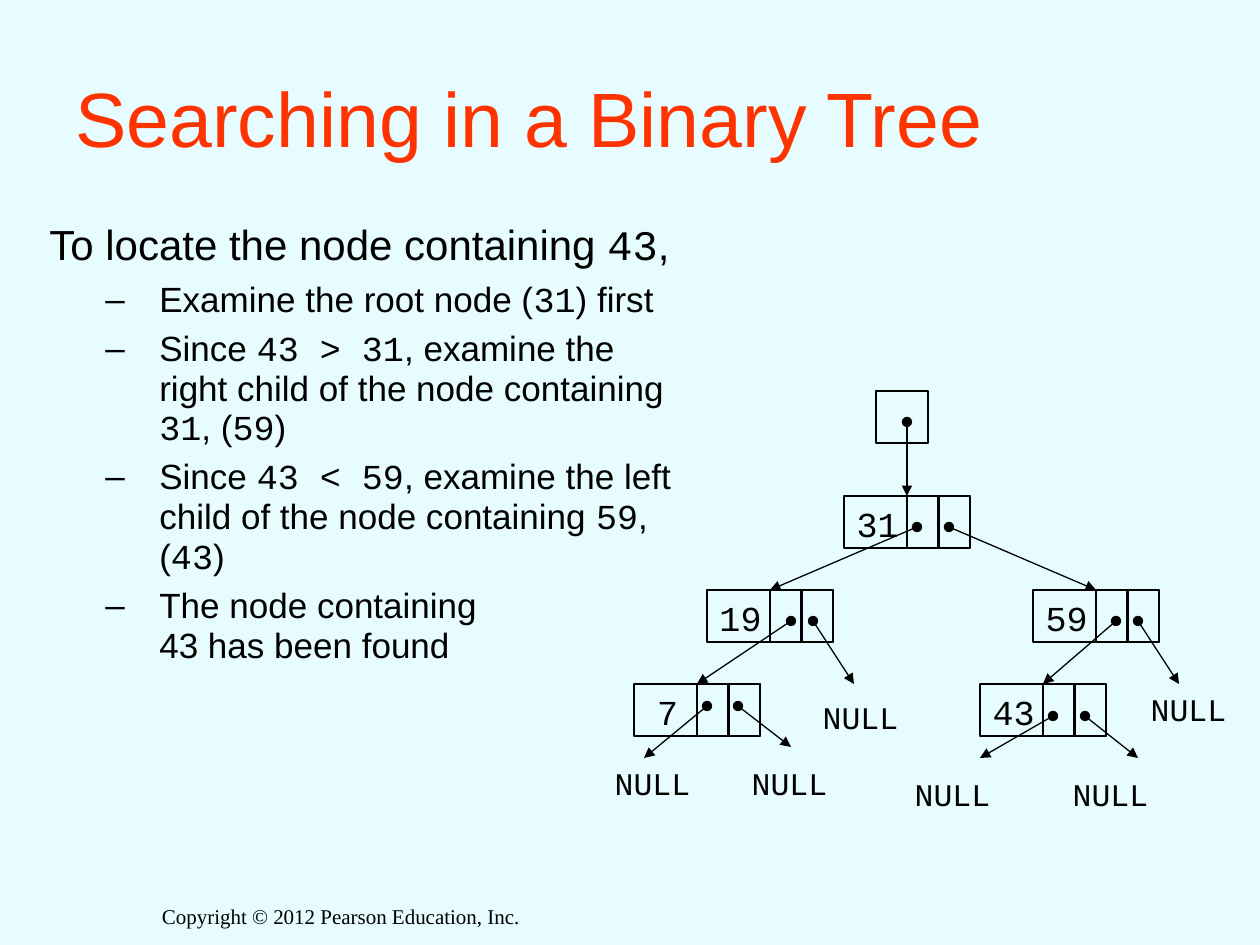
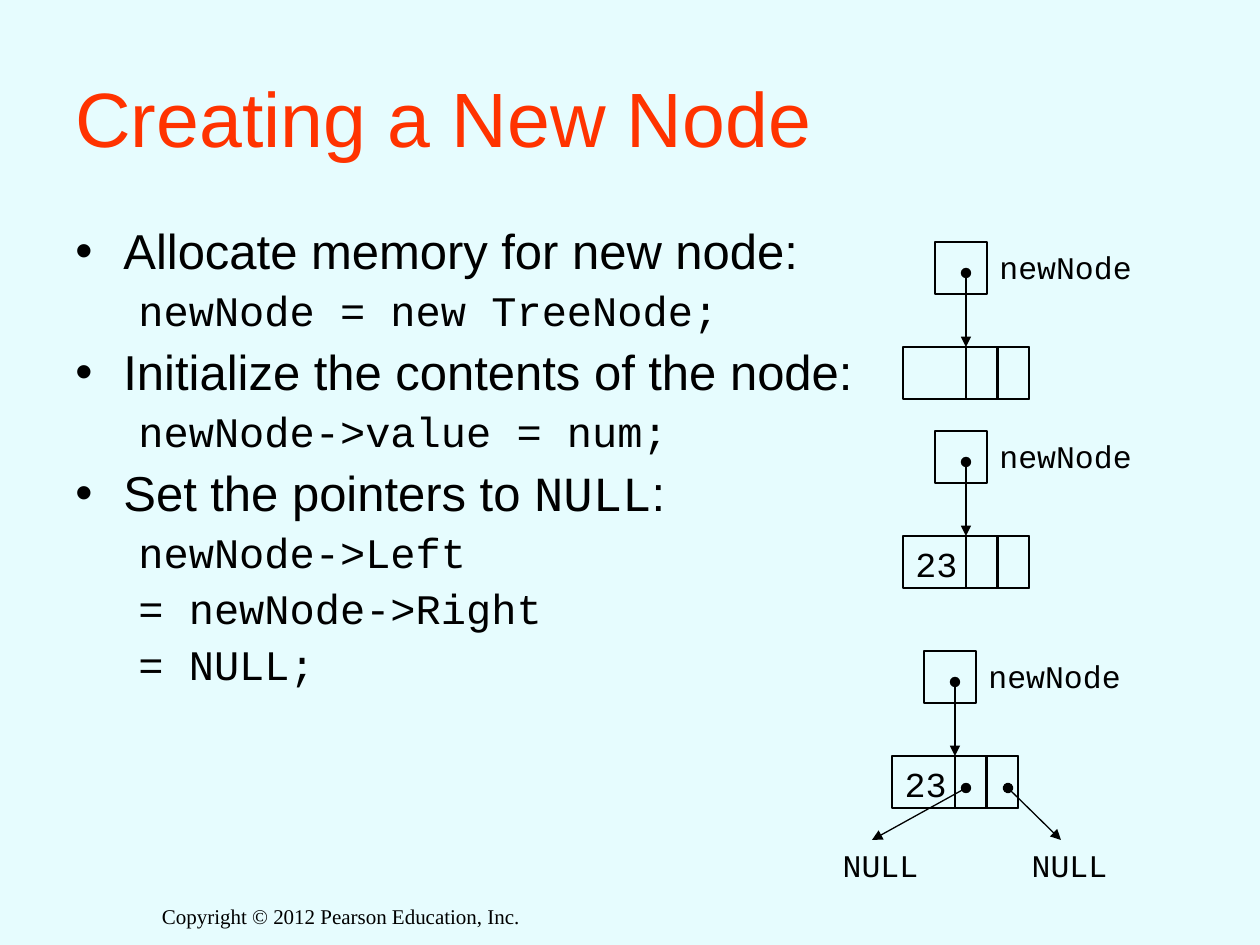
"""Builds two slides on binary trees: searching, and creating a node."""
from lxml.etree import SubElement
from pptx import Presentation
from pptx.dml.color import RGBColor
from pptx.enum.shapes import MSO_CONNECTOR, MSO_SHAPE
from pptx.enum.text import MSO_ANCHOR, PP_ALIGN
from pptx.oxml.ns import qn
from pptx.util import Pt

SANS, MONO, SERIF = "Arial", "Courier New", "Times New Roman"
PAPER, INK, RED = "E6FCFE", "000000", "FF3300"
FOOT = "Copyright © 2012 Pearson Education, Inc."

# Style: size, font, left margin, first indent, bullet, line spacing, space before, after
STYLES = {
    "lead": (24, SANS, 16, 0, None, 0.95, 0, 1),
    "dash": (20, SANS, 126, -54, "–", 0.95, 5, 0),
    "dot": (28, SANS, 48, -48, "•", 0.9, 7, 0),
    "code": (24, MONO, 63, 0, None, 0.9, 6, 0),
}

SEARCH = [
    ("lead", "To locate the node containing `43`,"),
    ("dash", "Examine the root node (`31`) first"),
    ("dash", "Since `43 > 31`, examine the right child of the node containing `31`, (`59`)"),
    ("dash", "Since `43 < 59`, examine the left child of the node containing `59`, (`43`)"),
    ("dash", "The node containing\n43 has been found"),
]
CREATE = [
    ("dot", "Allocate memory for new node:"),
    ("code", "newNode = new TreeNode;"),
    ("dot", "Initialize the contents of the node:"),
    ("code", "newNode->value = num;"),
    ("dot", "Set the pointers to `NULL`:"),
    ("code", "newNode->Left"),
    ("code", "= newNode->Right"),
    ("code", "= NULL;"),
]

# Root pointer: left, top, value, label
TREE_ROOTS = [(876, 391, "31", None)]
NEW_ROOTS = [(935, 242, None, "newNode"), (935, 431, "23", "newNode"),
             (924, 651, "23", "newNode")]
# Node: left, top, value
TREE_NODES = [(707, 590, "19"), (1033, 590, "59"), (634, 684, "7"), (980, 684, "43")]
# Link: dot x, dot y, tip x, tip y
TREE_LINKS = [
    (917, 527, 770, 590), (949, 527, 1096, 590),
    (791, 621, 697, 684), (813, 621, 854, 684),
    (1116, 621, 1043, 684), (1138, 621, 1179, 684),
    (707, 706, 644, 758), (738, 706, 791, 747),
    (1053, 716, 980, 758), (1085, 716, 1138, 758),
]
NEW_LINKS = [(966, 788, 872, 840), (1008, 788, 1061, 840)]
# NULL label: left, top
TREE_NULLS = [(810, 692), (1138, 684), (602, 758), (739, 758), (902, 769), (1060, 769)]
NEW_NULLS = [(830, 840), (1019, 840)]

SLIDES = [
    ("Searching in a Binary Tree", (21, 216, 670, 592), SEARCH,
     TREE_ROOTS, TREE_NODES, TREE_LINKS, TREE_NULLS),
    ("Creating a New Node", (63, 221, 999, 567), CREATE,
     NEW_ROOTS, [], NEW_LINKS, NEW_NULLS),
]

NODE, HALF, CELL, TALL, DROP = 126, 63, 32, 52, 105


def px(n):
    return round(n * 914400 / 126)


def tint(code):
    return RGBColor.from_string(code)


def add_run(para, text, size, font, color=INK):
    run = para.add_run()
    run.text = text
    run.font.size, run.font.name = Pt(size), font
    run.font.color.rgb = tint(color)


def add_box(slide, area, wrap=True):
    frame = slide.shapes.add_textbox(*map(px, area)).text_frame
    frame.word_wrap = wrap
    return frame


def add_label(slide, area, text, size, font=MONO):
    frame = add_box(slide, area, False)
    frame.margin_left = frame.margin_right = 0
    para = frame.paragraphs[0]
    para.alignment = PP_ALIGN.CENTER
    add_run(para, text, size, font)


def add_body(slide, area, lines):
    frame = add_box(slide, area)
    for i, (style, text) in enumerate(lines):
        size, font, left, first, mark, gap, before, after = STYLES[style]
        para = frame.add_paragraph() if i else frame.paragraphs[0]
        props = para._p.get_or_add_pPr()
        props.set("marL", str(px(left)))
        props.set("indent", str(px(first)))
        if mark:
            SubElement(props, qn("a:buFont"), typeface=SANS)
            SubElement(props, qn("a:buChar"), char=mark)
        para.line_spacing = gap
        para.space_before = Pt(before if i else 0)
        para.space_after = Pt(after)
        for j, part in enumerate(text.split("`")):
            for k, piece in enumerate(part.split("\n")):
                if k:
                    para.add_line_break()
                if piece:
                    add_run(para, piece, size, MONO if j % 2 else font)


def add_rect(slide, *area):
    shape = slide.shapes.add_shape(MSO_SHAPE.RECTANGLE, *map(px, area))
    shape.shadow.inherit = False
    shape.fill.background()
    shape.line.color.rgb = tint(INK)
    shape.line.width = Pt(0.75)


def add_link(slide, *ends):
    link = slide.shapes.add_connector(MSO_CONNECTOR.STRAIGHT, *map(px, ends))
    link.line.color.rgb = tint(INK)
    link.line.width = Pt(0.75)
    line = link.line._get_or_add_ln()
    SubElement(line, qn("a:headEnd"), type="oval")
    SubElement(line, qn("a:tailEnd"), type="triangle")
    SubElement(link._element.spPr, qn("a:effectLst"))


def add_node(slide, x, y, value):
    add_rect(slide, x, y, NODE, TALL)
    for left in (x + HALF, x + NODE - CELL):
        add_rect(slide, left, y, CELL, TALL)
    if value:
        add_label(slide, (x, y, 67, 55), value, 20)


def add_root(slide, x, y, value, label):
    add_rect(slide, x, y, TALL, TALL)
    add_node(slide, x - CELL, y + DROP, value)
    add_link(slide, x + 31, y + 31, x + 31, y + DROP)
    if label:
        add_label(slide, (x + TALL, y, 157, 50), label, 18)


def add_slide(deck, title, area, lines, roots, nodes, links, nulls):
    slide = deck.slides.add_slide(deck.slide_layouts[6])
    add_label(slide, (136, 897, 410, 45), FOOT, 12, SERIF)
    head = add_box(slide, (63, 38, 1134, 158))
    head.vertical_anchor = MSO_ANCHOR.MIDDLE
    add_run(head.paragraphs[0], title, 44, SANS, RED)
    add_body(slide, area, lines)
    for root in roots:
        add_root(slide, *root)
    for node in nodes:
        add_node(slide, *node)
    for link in links:
        add_link(slide, *link)
    for x, y in nulls:
        add_label(slide, (x, y, 101, 50), "NULL", 18)


def main():
    deck = Presentation()
    deck.slide_width, deck.slide_height = px(1260), px(945)
    fill = deck.slide_master.background.fill
    fill.solid()
    fill.fore_color.rgb = tint(PAPER)
    for parts in SLIDES:
        add_slide(deck, *parts)
    deck.save("out.pptx")


if __name__ == "__main__":
    main()
